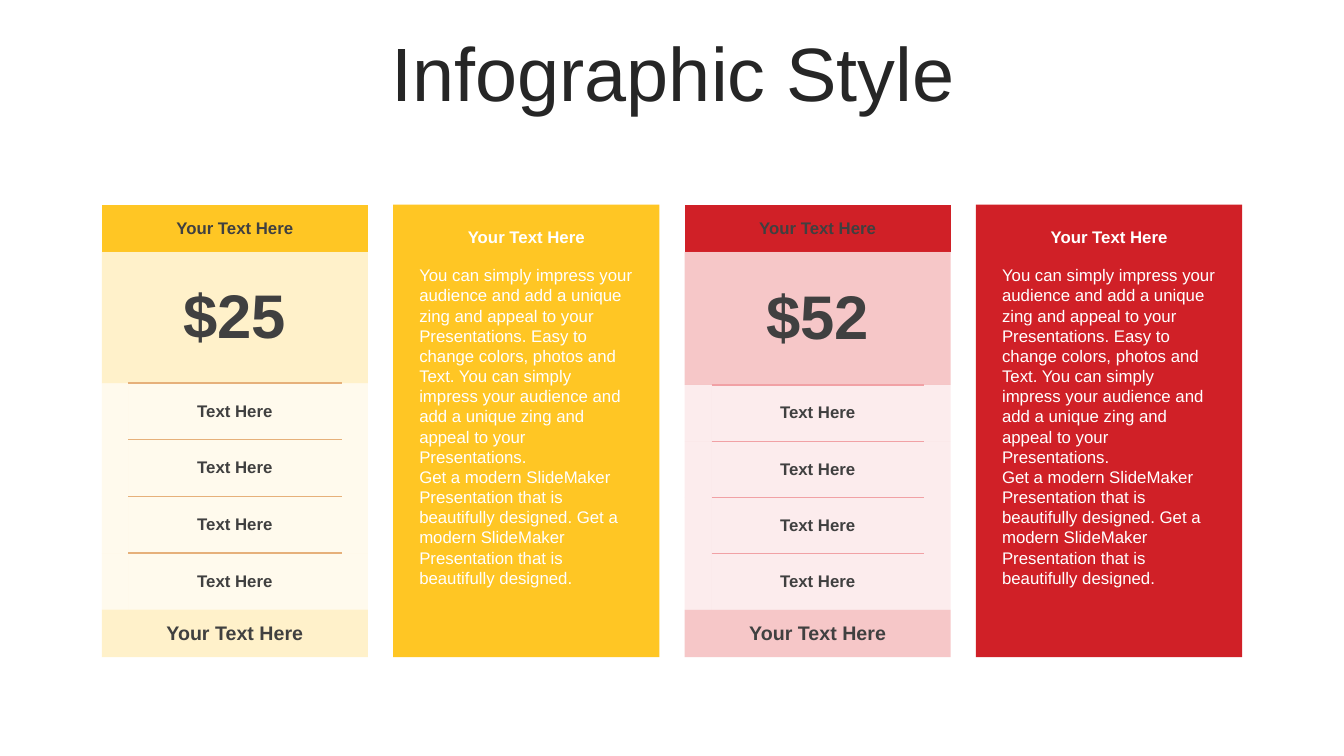
"""Build the pricing slide: two price tables, each beside a description panel."""
from dataclasses import dataclass

import lxml.etree
import pptx
import pptx.dml.color
import pptx.enum.shapes
import pptx.enum.text
import pptx.oxml.ns
import pptx.util

ALIGN = pptx.enum.text.PP_ALIGN
ANCHOR = pptx.enum.text.MSO_ANCHOR
AUTO_SIZE = pptx.enum.text.MSO_AUTO_SIZE

SLIDE_WIDTH, SLIDE_HEIGHT = 13.33, 7.5
GRID_LEFT, GRID_TOP = 1.01, 2.03
CARD_WIDTH, CARD_HEIGHT, COLUMN_PITCH = 2.64, 4.49, 2.89
PANEL_MARGIN = 0.16
BAND_HEIGHT = 0.47
FEATURES = ["Text Here"] * 4
PANEL_HEADING = "Your Text Here"
PANEL_PARAGRAPHS = [
    "You can simply impress your audience and add a unique zing and appeal to your "
    "Presentations. Easy to change colors, photos and Text. You can simply impress your "
    "audience and add a unique zing and appeal to your Presentations.",
    "Get a modern SlideMaker Presentation that is beautifully designed. "
    "Get a modern SlideMaker Presentation that is beautifully designed.",
]


@dataclass(frozen=True)
class Theme:
    """Font, type sizes and text colours of the slide."""

    font: str = "Arial"
    title: int = 54
    price: int = 44
    footer: int = 14
    body: int = 12
    title_color: str = "262626"
    dark: str = "404040"
    light: str = "FFFFFF"


@dataclass(frozen=True)
class Plan:
    """One price plan with its colours and measures."""

    price: str
    column: int
    main: str
    tint: str
    pale: str
    rule: str
    side: float
    price_height: float


THEME = Theme()
PLANS = [
    Plan("$25", 0, "FFC624", "FFDD7C", "FFE8A7", "E6B07A", 0.26, 1.3),
    Plan("$52", 2, "D02027", "E97377", "F1A1A5", "F1A1A5", 0.27, 1.32),
]


def rgb(color):
    """Return an RGB colour from its hex digits."""
    return pptx.dml.color.RGBColor.from_string(color)


def inches(*lengths):
    """Return lengths in inches as slide units."""
    return [pptx.util.Inches(length) for length in lengths]


def column_left(column):
    """Return the left edge of a card column."""
    return GRID_LEFT + column * COLUMN_PITCH


def set_values(target, values):
    """Set attributes of an object from a dict."""
    for name, value in values.items():
        setattr(target, name, value)


def write_text(frame, paragraphs, size, color, bold=False, align=ALIGN.LEFT):
    """Fill a text frame with uniformly formatted paragraphs."""
    for index, text in enumerate(paragraphs):
        paragraph = frame.paragraphs[0] if index == 0 else frame.add_paragraph()
        paragraph.alignment = align
        run = paragraph.add_run()
        run.text = text
        set_values(run.font, {"name": THEME.font, "size": pptx.util.Pt(size), "bold": bold})
        run.font.color.rgb = rgb(color)


def add_title(slide, text):
    """Write the slide title into its placeholder."""
    title = slide.shapes.title
    left, top, width, height = inches(
        0.026 * SLIDE_WIDTH, 0.049 * SLIDE_HEIGHT, 0.95 * SLIDE_WIDTH, 0.105 * SLIDE_HEIGHT)
    set_values(title, {"left": left, "top": top, "width": width, "height": height})
    set_values(title.text_frame, {
        "auto_size": AUTO_SIZE.NONE, "word_wrap": True, "vertical_anchor": ANCHOR.MIDDLE})
    write_text(title.text_frame, [text], THEME.title, THEME.title_color, align=ALIGN.CENTER)
    title.text_frame.paragraphs[0].line_spacing = 0.9


def add_child(parent, tag, **attributes):
    """Append a DrawingML element to a parent."""
    return lxml.etree.SubElement(parent, pptx.oxml.ns.qn(tag), **attributes)


def style_cell(cell, color, opacity=100, rules=None):
    """Set the borders and the fill of a table cell."""
    properties = cell._tc.get_or_add_tcPr()
    for side in ("L", "R", "T", "B"):
        rule = (rules or {}).get(side)
        line = add_child(properties, f"a:ln{side}", w=str(pptx.util.Pt(1)))
        if rule:
            add_child(add_child(line, "a:solidFill"), "a:srgbClr", val=rule)
        else:
            add_child(line, "a:noFill")
    cell.fill.solid()
    cell.fill.fore_color.rgb = rgb(color)
    if opacity < 100:
        for tone in properties.findall("a:solidFill/a:srgbClr", pptx.oxml.ns._nsmap):
            add_child(tone, "a:alpha", val=str(opacity * 1000))


def write_cell(cell, text, size):
    """Write centred bold text into a table cell."""
    cell.vertical_anchor = ANCHOR.MIDDLE
    write_text(cell.text_frame, [text], size, THEME.dark, True, ALIGN.CENTER)


def add_price_table(slide, plan):
    """Add the price table of a plan."""
    feature_height = (CARD_HEIGHT - 2 * BAND_HEIGHT - plan.price_height) / len(FEATURES)
    heights = [BAND_HEIGHT, plan.price_height, *[feature_height] * len(FEATURES), BAND_HEIGHT]
    widths = [plan.side, CARD_WIDTH - 2 * plan.side, plan.side]
    frame = slide.shapes.add_table(
        len(heights), len(widths),
        *inches(column_left(plan.column), GRID_TOP, CARD_WIDTH, CARD_HEIGHT))
    table = frame.table
    set_values(table, {"first_row": False, "horz_banding": False})
    for column, width in zip(table.columns, widths):
        column.width = pptx.util.Inches(width)
    for row, height in zip(table.rows, heights):
        row.height = pptx.util.Inches(height)

    bands = {
        0: ("Your Text Here", THEME.body, plan.main, 100),
        1: (plan.price, THEME.price, plan.tint, 40),
        len(heights) - 1: ("Your Text Here", THEME.footer, plan.tint, 40),
    }
    for row, (text, size, color, opacity) in bands.items():
        table.cell(row, 0).merge(table.cell(row, 2))
        for column in range(3):
            style_cell(table.cell(row, column), color, opacity)
        write_cell(table.cell(row, 0), text, size)

    for row, feature in enumerate(FEATURES, start=2):
        sides = "T" if row == len(FEATURES) + 1 else "TB"
        for column in range(3):
            rules = dict.fromkeys(sides, plan.rule) if column == 1 else None
            style_cell(table.cell(row, column), plan.pale, 20, rules)
        write_cell(table.cell(row, 1), feature, THEME.body)


def add_panel(slide, column, color):
    """Add the coloured background of a description panel."""
    panel = slide.shapes.add_shape(
        pptx.enum.shapes.MSO_SHAPE.RECTANGLE,
        *inches(column_left(column), GRID_TOP, CARD_WIDTH, CARD_HEIGHT))
    panel.shadow.inherit = False
    panel.fill.solid()
    panel.fill.fore_color.rgb = rgb(color)
    panel.line.fill.background()


def add_description(slide, column):
    """Add the grouped heading and text of a description panel."""
    group = slide.shapes.add_group_shape()
    left, width = column_left(column) + PANEL_MARGIN, CARD_WIDTH - 2 * PANEL_MARGIN
    blocks = [
        (2.2, 0.3, [PANEL_HEADING], True, ALIGN.CENTER),
        (2.58, 3.13, PANEL_PARAGRAPHS, False, ALIGN.LEFT),
    ]
    for top, height, paragraphs, bold, align in blocks:
        frame = group.shapes.add_textbox(*inches(left, top, width, height)).text_frame
        set_values(frame, {"word_wrap": True, "auto_size": AUTO_SIZE.SHAPE_TO_FIT_TEXT})
        write_text(frame, paragraphs, THEME.body, THEME.light, bold, align)


def main():
    """Build and save the slide."""
    presentation = pptx.Presentation()
    width, height = inches(SLIDE_WIDTH, SLIDE_HEIGHT)
    set_values(presentation, {"slide_width": width, "slide_height": height})
    slide = presentation.slides.add_slide(presentation.slide_layouts[5])
    add_title(slide, "Infographic Style")
    for plan in PLANS:
        add_price_table(slide, plan)
    for plan in PLANS:
        add_panel(slide, plan.column + 1, plan.main)
        add_description(slide, plan.column + 1)
    presentation.save("out.pptx")


if __name__ == "__main__":
    main()
